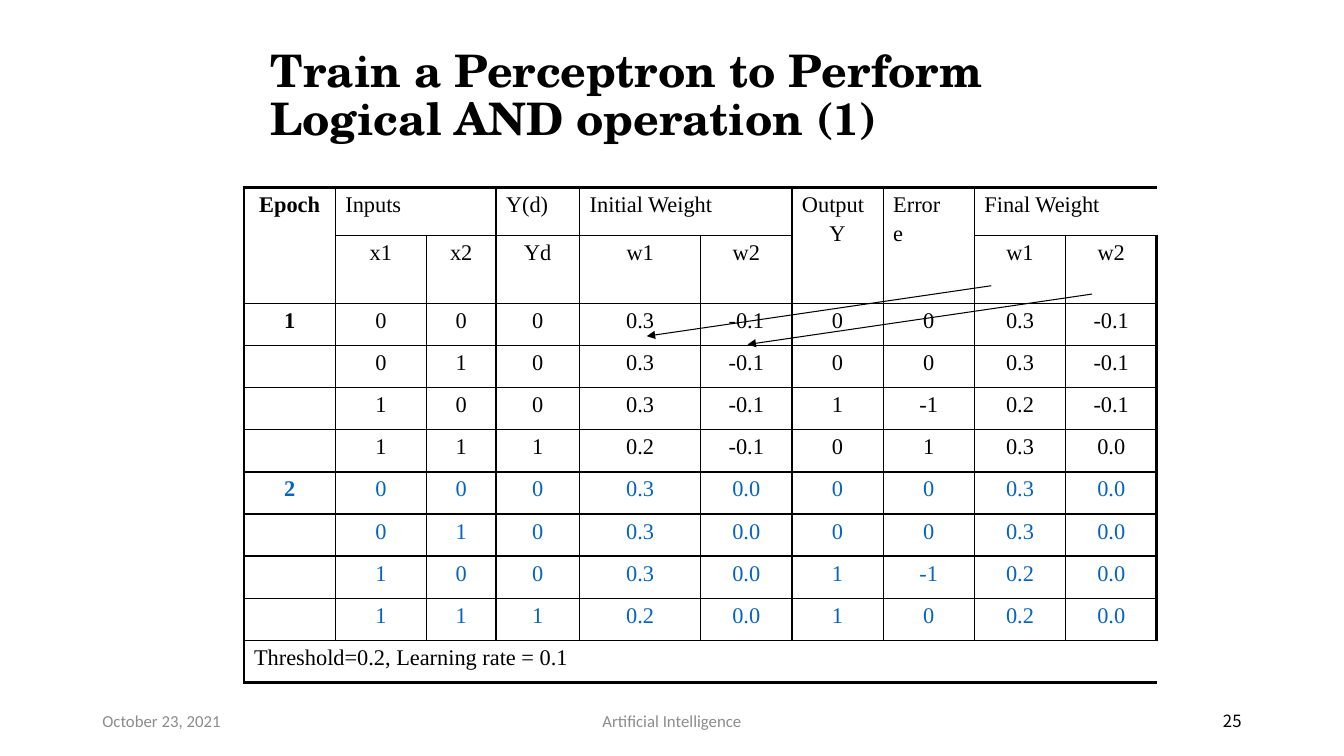
from dataclasses import dataclass
from lxml import etree
from pptx import Presentation
from pptx import util as u
from pptx.dml.color import RGBColor
from pptx.enum import shapes, text
from pptx.oxml import ns

LEFT, MID, RIGHT = text.PP_ALIGN.LEFT, text.PP_ALIGN.CENTER, text.PP_ALIGN.RIGHT


@dataclass(frozen=True)
class Theme:
    ink: str = "000000"
    blue: str = "0563C1"
    gray: str = "8C8C8C"
    head: str = "TeX Gyre Schola"
    body: str = "Times New Roman"
    foot: str = "Calibri"
    page: str = "Noto Sans CJK KR"
    big: int = 32
    cell: int = 16
    small: int = 12
    thick: float = 2.25
    thin: float = 1
    arrow: float = 0.75


@dataclass(frozen=True)
class Font:
    name: str
    size: int
    color: str
    bold: bool = False


@dataclass(frozen=True)
class Label:
    words: str
    left: float
    top: float
    width: float
    height: float
    font: Font
    align: int = LEFT
    pitch: float = 1.0


@dataclass(frozen=True)
class Arrow:
    left: float
    top: float
    to_left: float
    to_top: float


@dataclass(frozen=True)
class Block:
    top: int
    left: int
    end_row: int
    end_col: int


T = Theme()
FOOT = Font(T.foot, T.small, T.gray)
LABELS = [
    Label("October 23, 2021", 2.33, 17.65, 7.62, 1.01, FOOT),
    Label("Artificial Intelligence", 11.22, 17.65, 11.43, 1.01, FOOT, MID),
    Label("25", 23.92, 17.65, 7.62, 1.01, Font(T.page, T.small, T.ink), RIGHT),
    Label("Train a Perceptron to Perform Logical AND operation (1)",
          6.56, 0.85, 21.59, 3.18, Font(T.head, T.big, T.ink, True), LEFT, 0.9),
]
ARROWS = [Arrow(24.98, 7.2, 16.3, 8.47), Arrow(27.52, 7.41, 18.84, 8.68)]

COLS = [2.3, 2.3, 1.75, 2.11, 3.05] + [2.3] * 5
ROWS = [1.21, 1.6] + [1.06] * 9
BLOCKS = [
    Block(0, 0, 1, 0), Block(0, 1, 0, 2), Block(0, 4, 0, 5),
    Block(0, 6, 1, 6), Block(0, 7, 1, 7), Block(0, 8, 0, 9),
    Block(10, 0, 10, 9),
]
GRID = [
    ["Epoch", "Inputs", "", "Y(d)", "Initial Weight", "",
     "Output\nY", "Error\ne", "Final Weight", ""],
    ["", "x1", "x2", "Yd", "w1", "w2", "", "", "w1", "w2"],
    ["1", "0", "0", "0", "0.3", "-0.1", "0", "0", "0.3", "-0.1"],
    ["", "0", "1", "0", "0.3", "-0.1", "0", "0", "0.3", "-0.1"],
    ["", "1", "0", "0", "0.3", "-0.1", "1", "-1", "0.2", "-0.1"],
    ["", "1", "1", "1", "0.2", "-0.1", "0", "1", "0.3", "0.0"],
    ["2", "0", "0", "0", "0.3", "0.0", "0", "0", "0.3", "0.0"],
    ["", "0", "1", "0", "0.3", "0.0", "0", "0", "0.3", "0.0"],
    ["", "1", "0", "0", "0.3", "0.0", "1", "-1", "0.2", "0.0"],
    ["", "1", "1", "1", "0.2", "0.0", "1", "0", "0.2", "0.0"],
    ["Threshold=0.2, Learning rate = 0.1"] + [""] * 9,
]
LAST_ROW, LAST_COL = len(ROWS) - 1, len(COLS) - 1
NO_STYLE = "{2D5ABB26-0587-4C30-8999-92F81FD0307C}"


def add_run(para, words: str, font: Font) -> None:
    run = para.add_run()
    run.text = words
    run.font.name = font.name
    run.font.size = u.Pt(font.size)
    run.font.bold = font.bold
    run.font.color.rgb = RGBColor.from_string(font.color)


def add_label(slide, label: Label) -> None:
    box = slide.shapes.add_textbox(u.Cm(label.left), u.Cm(label.top),
                                   u.Cm(label.width), u.Cm(label.height))
    frame = box.text_frame
    frame.word_wrap = True
    frame.vertical_anchor = text.MSO_ANCHOR.MIDDLE
    para = frame.paragraphs[0]
    para.alignment = label.align
    para.line_spacing = label.pitch
    add_run(para, label.words, label.font)


def add_edge(cell, side: str, width: float) -> None:
    props = cell._tc.get_or_add_tcPr()
    line = etree.SubElement(props, ns.qn(f"a:ln{side}"), w=str(u.Pt(width)))
    fill = etree.SubElement(line, ns.qn("a:solidFill"))
    etree.SubElement(fill, ns.qn("a:srgbClr"), val=T.ink)


def find_block(row: int, col: int) -> Block:
    for block in BLOCKS:
        if (block.top <= row <= block.end_row
                and block.left <= col <= block.end_col):
            return block
    return Block(row, col, row, col)


def draw_edges(cell, row: int, col: int) -> None:
    block = find_block(row, col)
    sides = [("L", col, block.left, 0), ("R", col, block.end_col, LAST_COL),
             ("T", row, block.top, 0), ("B", row, block.end_row, LAST_ROW)]
    for side, place, edge, rim in sides:
        if place == edge:
            add_edge(cell, side, T.thick if place == rim else T.thin)


def fill_cell(cell, row: int, col: int) -> None:
    color = T.blue if 6 <= row < LAST_ROW else T.ink
    font = Font(T.body, T.cell, color, col == 0 and row < LAST_ROW)
    plain = row == LAST_ROW or (row == 0 and col > 0)
    frame = cell.text_frame
    for index, words in enumerate(GRID[row][col].split("\n")):
        para = frame.add_paragraph() if index else frame.paragraphs[0]
        para.alignment = LEFT if plain and words != "Y" else MID
        if index:
            para.space_before = u.Pt(0.2 * T.cell)
        if words:
            add_run(para, words, font)


def add_grid(slide) -> None:
    shape = slide.shapes.add_table(len(ROWS), len(COLS), u.Cm(6.15), u.Cm(4.72),
                                   u.Cm(sum(COLS)), u.Cm(sum(ROWS)))
    table = shape.table
    table.first_row = table.horz_banding = False
    table._tbl.tblPr.find(ns.qn("a:tableStyleId")).text = NO_STYLE
    for col, width in zip(table.columns, COLS):
        col.width = u.Cm(width)
    for row, height in zip(table.rows, ROWS):
        row.height = u.Cm(height)
    for block in BLOCKS:
        start = table.cell(block.top, block.left)
        start.merge(table.cell(block.end_row, block.end_col))
    for row in range(len(ROWS)):
        for col in range(len(COLS)):
            cell = table.cell(row, col)
            draw_edges(cell, row, col)
            cell.fill.background()
            fill_cell(cell, row, col)


def add_arrow(slide, arrow: Arrow) -> None:
    link = slide.shapes.add_connector(
        shapes.MSO_CONNECTOR.STRAIGHT, u.Cm(arrow.left), u.Cm(arrow.top),
        u.Cm(arrow.to_left), u.Cm(arrow.to_top))
    link.line.width = u.Pt(T.arrow)
    link.line.color.rgb = RGBColor.from_string(T.ink)
    etree.SubElement(link.line._get_or_add_ln(), ns.qn("a:tailEnd"), type="triangle")
    etree.SubElement(link._element.spPr, ns.qn("a:effectLst"))


def main() -> None:
    deck = Presentation()
    deck.slide_width, deck.slide_height = u.Cm(33.87), u.Cm(19.05)
    slide = deck.slides.add_slide(deck.slide_layouts[6])
    for label in LABELS:
        add_label(slide, label)
    add_grid(slide)
    for arrow in ARROWS:
        add_arrow(slide, arrow)
    deck.save("out.pptx")


if __name__ == "__main__":
    main()
